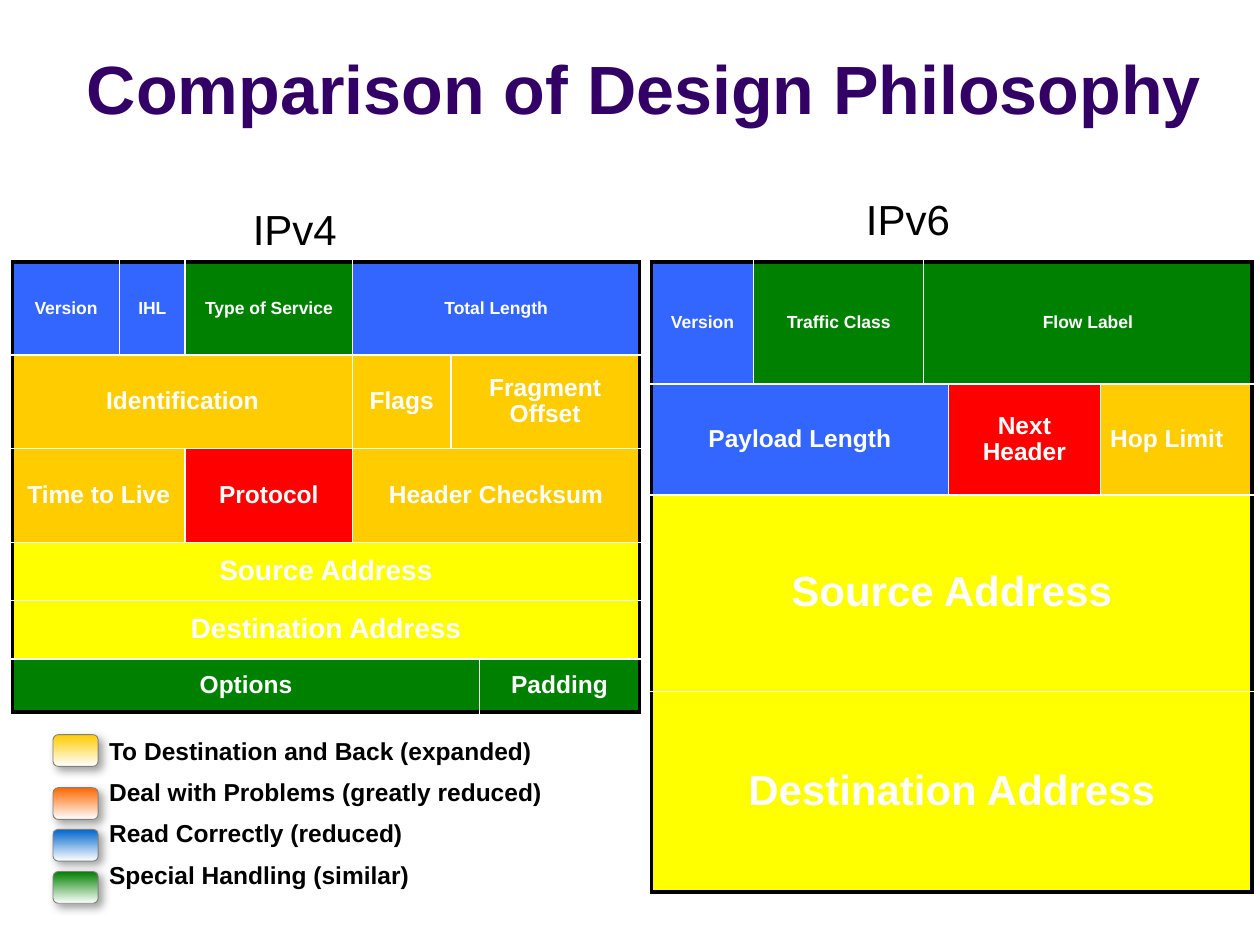
from lxml import etree
from pptx import Presentation
from pptx.dml.color import RGBColor
from pptx.enum.shapes import MSO_SHAPE
from pptx.enum.text import MSO_ANCHOR, MSO_AUTO_SIZE, PP_ALIGN
from pptx.oxml.ns import qn
from pptx.util import Cm, Pt

LEFT, CENTER = PP_ALIGN.LEFT, PP_ALIGN.CENTER
MIDDLE, BOTTOM = MSO_ANCHOR.MIDDLE, MSO_ANCHOR.BOTTOM
NO_FIT, GROW = MSO_AUTO_SIZE.NONE, MSO_AUTO_SIZE.SHAPE_TO_FIT_TEXT
ROUNDED = MSO_SHAPE.ROUNDED_RECTANGLE

FONT = "Arial"
BLACK, WHITE, GRAY, PURPLE = "000000", "FFFFFF", "808080", "330066"
BLUE, GREEN, GOLD, RED, YELLOW = "3366FF", "008000", "FFCC00", "FF0000", "FFFF00"

# Content: each field is (text, columns spanned, fill, text size, alignment)
TITLE = "Comparison of Design Philosophy"
HEADERS = [
    {
        "left": 0.25, "top": 5.28,
        "columns": [2.16, 1.32, 3.38, 1.98, 0.58, 3.22],
        "rows": [1.88, 1.88, 1.9, 1.17, 1.17, 1.07],
        "fields": [
            [("Version", 1, BLUE, 10, CENTER), ("IHL", 1, BLUE, 10, CENTER),
             ("Type of Service", 1, GREEN, 10, CENTER), ("Total Length", 3, BLUE, 10, CENTER)],
            [("Identification", 3, GOLD, 14, CENTER), ("Flags", 1, GOLD, 14, CENTER),
             ("Fragment Offset", 2, GOLD, 14, CENTER)],
            [("Time to Live", 2, GOLD, 14, CENTER), ("Protocol", 1, RED, 14, CENTER),
             ("Header Checksum", 3, GOLD, 14, CENTER)],
            [("Source Address", 6, YELLOW, 16, CENTER)],
            [("Destination Address", 6, YELLOW, 16, CENTER)],
            [("Options", 5, GREEN, 14, CENTER), ("Padding", 1, GREEN, 14, CENTER)],
        ],
    },
    {
        "left": 13.13, "top": 5.28,
        "columns": [2.06, 3.43, 0.46, 3.06, 3.06],
        "rows": [2.46, 2.24, 3.96, 4.04],
        "fields": [
            [("Version", 1, BLUE, 10, CENTER), ("Traffic Class", 1, GREEN, 10, CENTER),
             ("Flow Label", 3, GREEN, 10, CENTER)],
            [("Payload Length", 3, BLUE, 14, CENTER), ("Next Header", 1, RED, 14, CENTER),
             ("Hop Limit", 1, GOLD, 14, LEFT)],
            [("Source Address", 5, YELLOW, 24, CENTER)],
            [("Destination Address", 5, YELLOW, 24, CENTER)],
        ],
    },
]
# (text, left, top, width, height, wrap)
CAPTIONS = [
    ("IPv4", 4.88, 4.01, 2.13, 1.22, False),
    ("IPv6", 14.81, 3.81, 6.99, 1.22, True),
]
# (text, swatch colour, swatch top)
LEGEND = [
    ("To Destination and Back (expanded)", "FFCC00", 14.81),
    ("Deal with Problems (greatly reduced)", "FF6600", 15.88),
    ("Read Correctly (reduced)", "0066CC", 16.72),
    ("Special Handling (similar)", "008000", 17.57),
]


def rgb(value):
    return RGBColor.from_string(value)


def add_span(para, text, size, color, bold=True, align=CENTER):
    para.alignment = align
    span = para.add_run()
    span.text = text
    span.font.name = FONT
    span.font.size = Pt(size)
    span.font.bold = bold
    span.font.color.rgb = rgb(color)


def set_margins(part, side=0.2, top=0.1):
    part.margin_left = part.margin_right = Cm(side)
    part.margin_top = part.margin_bottom = Cm(top)


def add_box(page, left, top, width, height, wrap=True):
    frame = page.shapes.add_textbox(Cm(left), Cm(top), Cm(width), Cm(height)).text_frame
    frame.word_wrap = wrap
    frame.auto_size = GROW
    set_margins(frame)
    return frame


def add_border(cell, side, outer):
    color, points = (BLACK, 2.25) if outer else (WHITE, 1)
    props = cell._tc.get_or_add_tcPr()
    line = etree.SubElement(props, qn("a:" + side), w=str(Pt(points)))
    fill = etree.SubElement(line, qn("a:solidFill"))
    etree.SubElement(fill, qn("a:srgbClr"), val=color)


def add_header(page, left, top, columns, rows, fields):
    table = page.shapes.add_table(len(rows), len(columns), Cm(left), Cm(top),
                                  Cm(sum(columns)), Cm(sum(rows))).table
    table.first_row = table.horz_banding = False
    for column, width in zip(table.columns, columns):
        column.width = Cm(width)
    for row, height in zip(table.rows, rows):
        row.height = Cm(height)
    for r, row_fields in enumerate(fields):
        start = 0
        for text, count, color, size, align in row_fields:
            end = start + count
            for c in range(start, end):
                cell = table.cell(r, c)
                if c == start:
                    add_border(cell, "lnL", start == 0)
                add_border(cell, "lnR", end == len(columns))
                add_border(cell, "lnT", r == 0)
                add_border(cell, "lnB", r == len(rows) - 1)
                cell.fill.solid()
                cell.fill.fore_color.rgb = rgb(color)
            field = table.cell(r, start)
            if count > 1:
                field.merge(table.cell(r, end - 1))
            set_margins(field)
            field.vertical_anchor = MIDDLE
            para = field.text_frame.paragraphs[0]
            para.line_spacing = 0.95
            add_span(para, text, size, WHITE, align=align)
            start = end


def add_swatch(page, color, top):
    swatch = page.shapes.add_shape(ROUNDED, Cm(1.07), Cm(top), Cm(0.91), Cm(0.64))
    swatch.fill.gradient()
    swatch.fill.gradient_angle = 270
    for stop, shade in zip(swatch.fill.gradient_stops, (color, WHITE)):
        stop.color.rgb = rgb(shade)
    swatch.line.color.rgb = rgb(GRAY)
    swatch.line.width = Pt(0.5)
    swatch.shadow.inherit = False
    effects = swatch._element.spPr.find(qn("a:effectLst"))
    shadow = etree.SubElement(effects, qn("a:outerShdw"), blurRad=str(Pt(5)),
                              dist=str(Pt(3)), dir="2700000", rotWithShape="0")
    tint = etree.SubElement(shadow, qn("a:srgbClr"), val=GRAY)
    etree.SubElement(tint, qn("a:alpha"), val="75000")


deck = Presentation()
deck.slide_width, deck.slide_height = Cm(25.4), Cm(19.05)
page = deck.slides.add_slide(deck.slide_layouts[5])

# Title
title = page.shapes.title
title.left, title.top, title.width, title.height = Cm(1.04), Cm(0.86), Cm(23.9), Cm(1.85)
title.text_frame.auto_size = NO_FIT
title.text_frame.vertical_anchor = BOTTOM
add_span(title.text_frame.paragraphs[0], TITLE, 39, PURPLE)

# Packet headers and their captions
for header in HEADERS:
    add_header(page, **header)
for text, *place in CAPTIONS:
    add_span(add_box(page, *place).paragraphs[0], text, 24, BLACK, bold=False)

# Legend
for text, color, top in LEGEND:
    add_swatch(page, color, top)
legend = add_box(page, 1.47, 14.78, 10.16, 3.4)
legend.margin_left = Cm(0.73)
for index, (text, color, top) in enumerate(LEGEND):
    para = legend.add_paragraph() if index else legend.paragraphs[0]
    para.line_spacing = 0.95
    para.space_before = Pt(7.6) if index else Pt(0)
    add_span(para, text, 14, BLACK, align=LEFT)

deck.save("out.pptx")
